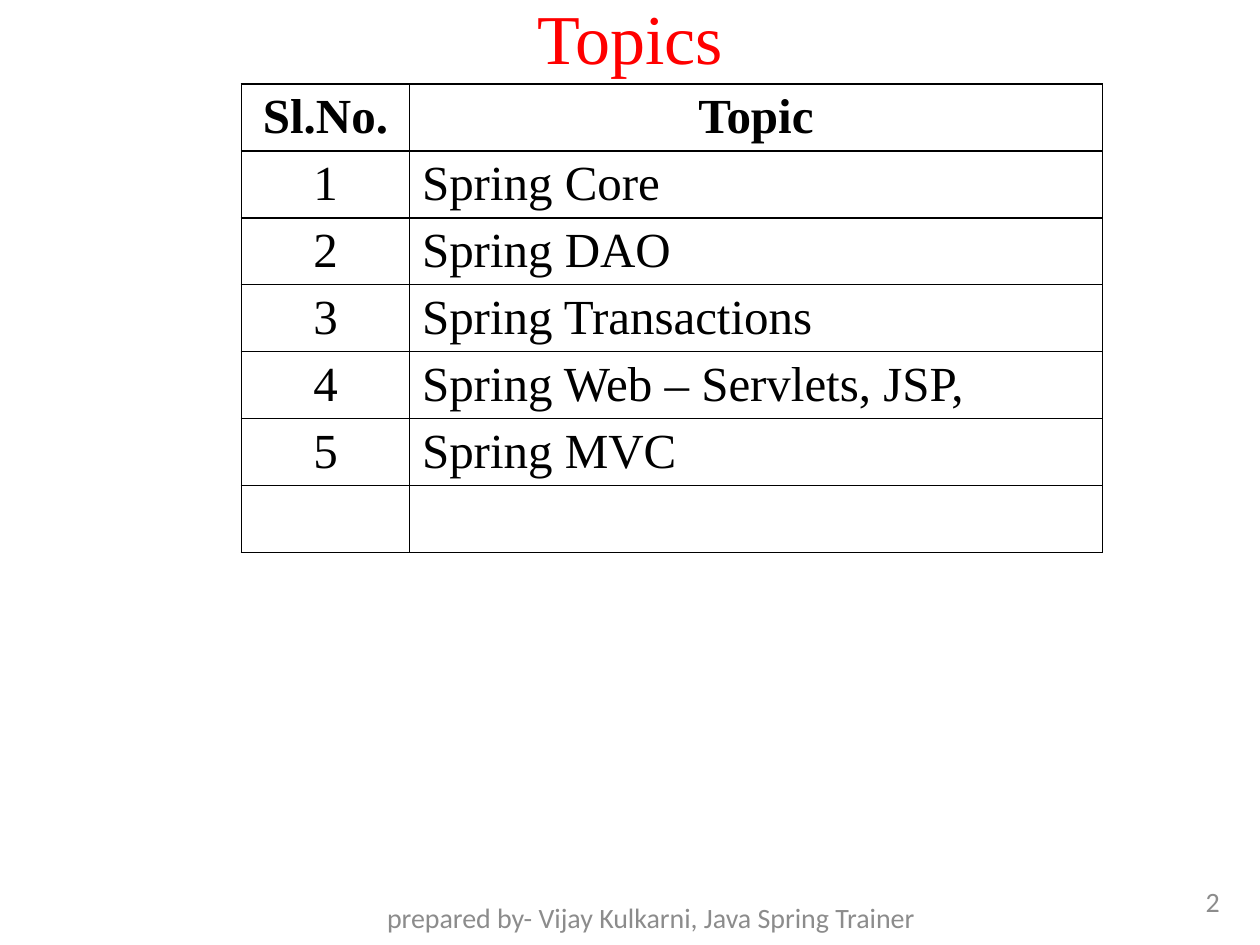
from dataclasses import dataclass

from lxml import etree
from pptx import Presentation
from pptx.dml.color import RGBColor
from pptx.enum.text import MSO_ANCHOR, PP_ALIGN
from pptx.oxml.ns import qn
from pptx.util import Pt

LEFT, CENTER = PP_ALIGN.LEFT, PP_ALIGN.CENTER
MIDDLE = MSO_ANCHOR.MIDDLE
RED = RGBColor(0xFF, 0x00, 0x00)
BLACK = RGBColor(0x00, 0x00, 0x00)
WHITE = RGBColor(0xFF, 0xFF, 0xFF)
GRAY = RGBColor(0x8C, 0x8C, 0x8C)
SERIF, SANS = "Times New Roman", "Calibri"

COLUMN_WIDTHS = (96, 396)
ROW_HEIGHT = 38.25
TOPICS = (
    "Spring Core",
    "Spring DAO",
    "Spring Transactions",
    "Spring Web – Servlets, JSP,",
    "Spring MVC",
)


@dataclass(frozen=True)
class FooterItem:
    text: str
    left: float
    top: float
    width: float
    height: float


FOOTER = (
    FooterItem("prepared by- Vijay Kulkarni, Java Spring Trainer", 186, 510, 372, 28.8),
    FooterItem("2", 672, 500.4, 42, 28.8),
)


def write_text(frame, text: str, *, font: str, size: float, color: RGBColor,
               bold: bool = False, align=CENTER) -> None:
    para = frame.paragraphs[0]
    para.alignment = align
    span = para.add_run()
    span.text = text
    span.font.name = font
    span.font.size = Pt(size)
    span.font.bold = bold
    span.font.color.rgb = color


def add_title(page, text: str) -> None:
    title = page.shapes.title
    title.left, title.top, title.width, title.height = Pt(0), Pt(6), Pt(720), Pt(30)
    title.text_frame.vertical_anchor = MIDDLE
    write_text(title.text_frame, text, font=SERIF, size=40, color=RED)


def add_borders(cell) -> None:
    properties = cell._tc.get_or_add_tcPr()
    for side in ("lnL", "lnR", "lnT", "lnB"):
        line = etree.SubElement(properties, qn(f"a:{side}"), w=str(Pt(1)))
        fill = etree.SubElement(line, qn("a:solidFill"))
        etree.SubElement(fill, qn("a:srgbClr"), val=str(BLACK))


def add_topic_table(page) -> None:
    numbered = [(str(number), topic) for number, topic in enumerate(TOPICS, 1)]
    rows = [("Sl.No.", "Topic"), *numbered, ("", "")]
    table = page.shapes.add_table(
        len(rows), len(COLUMN_WIDTHS), Pt(138), Pt(48),
        Pt(sum(COLUMN_WIDTHS)), Pt(ROW_HEIGHT * len(rows))).table
    for column, width in zip(table.columns, COLUMN_WIDTHS):
        column.width = Pt(width)
    for row_index, values in enumerate(rows):
        table.rows[row_index].height = Pt(ROW_HEIGHT)
        header = row_index == 0
        for column_index, value in enumerate(values):
            cell = table.cell(row_index, column_index)
            add_borders(cell)
            cell.fill.solid()
            cell.fill.fore_color.rgb = WHITE
            if value:
                align = CENTER if header or column_index == 0 else LEFT
                write_text(cell.text_frame, value, font=SERIF, size=28,
                           color=BLACK, bold=header, align=align)


def add_footer_item(page, item: FooterItem) -> None:
    box = page.shapes.add_textbox(
        Pt(item.left), Pt(item.top), Pt(item.width), Pt(item.height))
    box.text_frame.word_wrap = True
    box.text_frame.vertical_anchor = MIDDLE
    write_text(box.text_frame, item.text, font=SANS, size=16, color=GRAY)


def main() -> None:
    deck = Presentation()
    deck.slide_width, deck.slide_height = Pt(720), Pt(540)
    page = deck.slides.add_slide(deck.slide_layouts[5])
    add_title(page, "Topics")
    add_topic_table(page)
    for item in FOOTER:
        add_footer_item(page, item)
    deck.save("out.pptx")


if __name__ == "__main__":
    main()
